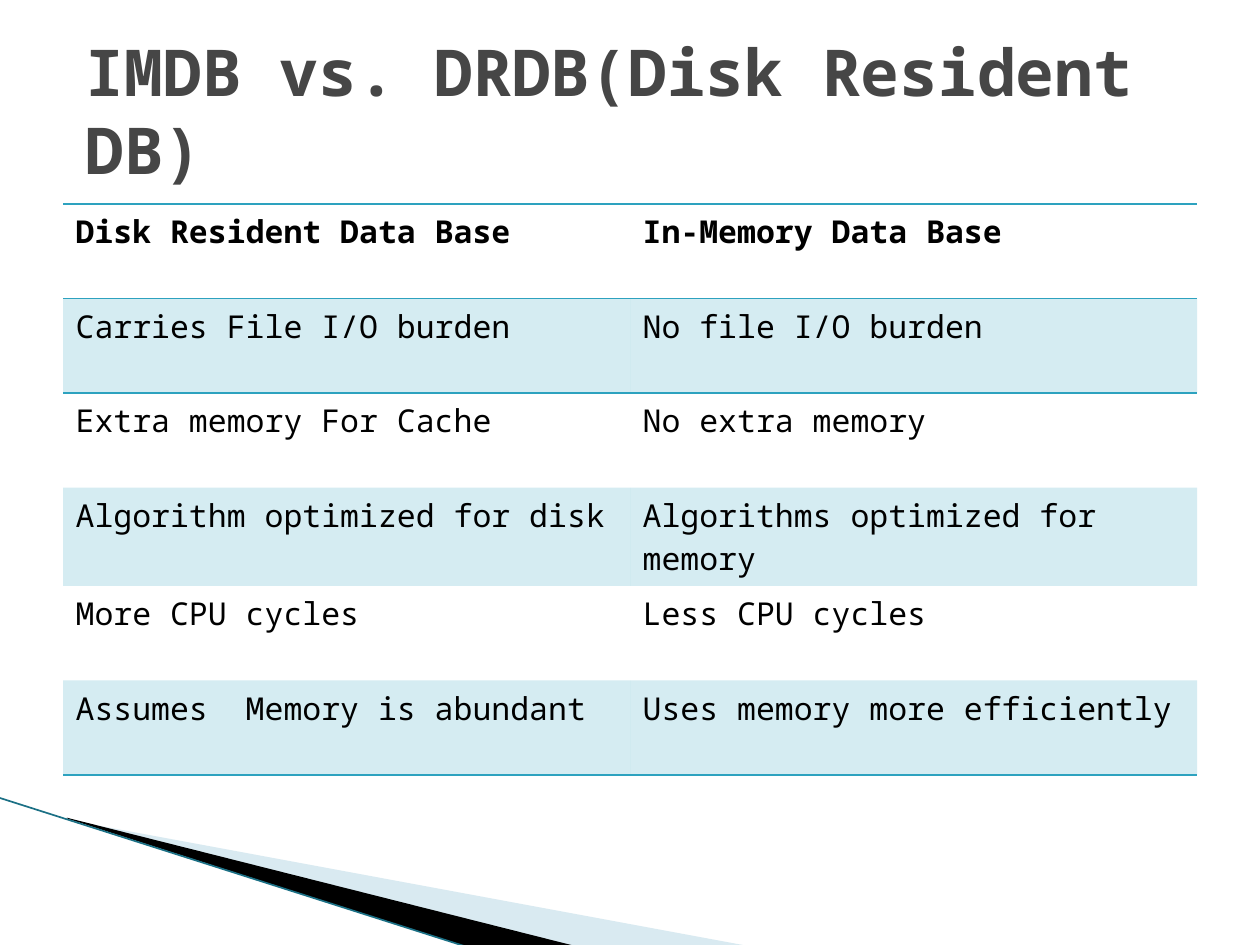
from lxml import etree
from pptx import Presentation, util as u
from pptx.dml.color import RGBColor
from pptx.enum import shapes, text
from pptx.oxml import ns

TITLE = "IMDB vs. DRDB(Disk Resident DB)"
ROWS = [
    ("Disk Resident Data Base", "In-Memory Data Base"),
    ("Carries File I/O burden", "No file I/O burden"),
    ("Extra memory For Cache", "No extra memory"),
    ("Algorithm optimized for disk", "Algorithms optimized for memory"),
    ("More CPU cycles", "Less CPU cycles"),
    ("Assumes  Memory is abundant", "Uses memory more efficiently"),
]
WEDGES = [  # points, colour, opacity in percent
    ([(39.6, 468.7), (428.4, 540.7), (328.3, 540.7), (39.6, 468)], "A0CBDC", 40),
    ([(38.2, 467.3), (329, 540.7), (267.8, 541.4), (38.9, 468)], "000000", 100),
]
EDGE = (-0.7, 455.8, 267.8, 541.4)
FONT, ACCENT, EDGE_COLOR = "Noto Sans Mono", "2DA2BF", "1B7085"
PLAIN_STYLE = "{2D5ABB26-0587-4C30-8999-92F81FD0307C}"


def rgb(code):
    """Return the colour for a hex string."""
    return RGBColor.from_string(code)


def paint(fill, code, opacity=100):
    """Fill with a solid colour of the given opacity."""
    fill.solid()
    fill.fore_color.rgb = rgb(code)
    if opacity < 100:
        for clr in fill._xPr.iter(ns.qn("a:srgbClr")):
            etree.SubElement(clr, ns.qn("a:alpha"), val=str(opacity * 1000))


def style(r, size, color, bold):
    """Format the font of one run."""
    for name, value in dict(name=FONT, size=u.Pt(size), bold=bold).items():
        setattr(r.font, name, value)
    r.font.color.rgb = rgb(color)


def border(cell, sides):
    """Draw accent lines of one point on the given sides, in schema order."""
    tcPr = cell._tc.get_or_add_tcPr()
    for i, side in enumerate(sides):
        ln = etree.Element(ns.qn("a:ln" + side), w=str(u.Pt(1)))
        solid = etree.SubElement(ln, ns.qn("a:solidFill"))
        etree.SubElement(solid, ns.qn("a:srgbClr"), val=ACCENT)
        tcPr.insert(i, ln)


def add_wedge(s, points, color, opacity):
    """Add one filled wedge of the corner decoration."""
    pts = [(u.Pt(x), u.Pt(y)) for x, y in points]
    fb = s.shapes.build_freeform(*pts[0])
    fb.add_line_segments(pts[1:], close=True)
    sp = fb.convert_to_shape()
    sp.shadow.inherit = False
    sp.line.fill.background()
    paint(sp.fill, color, opacity)


def add_edge(s):
    """Add the thin line along the corner decoration."""
    cx = s.shapes.add_connector(shapes.MSO_CONNECTOR.STRAIGHT, *map(u.Pt, EDGE))
    cx.line.width = u.Pt(0.95)
    cx.line.color.rgb = rgb(EDGE_COLOR)
    etree.SubElement(cx.element.spPr, ns.qn("a:effectLst"))


def add_comparison(s):
    """Add the comparison table with tinted odd rows."""
    box = map(u.Pt, (36, 116.6, 648, 324))
    tbl = s.shapes.add_table(len(ROWS), len(ROWS[0]), *box).table
    tbl.first_row = tbl.horz_banding = False
    tbl._tbl.tblPr.find(ns.qn("a:tableStyleId")).text = PLAIN_STYLE
    sides = {0: "TB", 1: "T", len(ROWS) - 1: "B"}
    for i, row in enumerate(ROWS):
        for j, words in enumerate(row):
            cell = tbl.cell(i, j)
            r = cell.text_frame.paragraphs[0].add_run()
            r.text = words
            style(r, 18, "000000", i == 0)
            if i % 2:
                paint(cell.fill, ACCENT, 20)
            else:
                cell.fill.background()
            border(cell, sides.get(i, ""))


def set_title(s):
    """Place and format the title, in front of the rest."""
    sp = s.shapes.title
    box = dict(left=41.8, top=23.8, width=624.2, height=77.8)
    for name, value in box.items():
        setattr(sp, name, u.Pt(value))
    tf = sp.text_frame
    frame = dict(word_wrap=True, auto_size=text.MSO_AUTO_SIZE.NONE,
                 vertical_anchor=text.MSO_ANCHOR.MIDDLE)
    for name, value in frame.items():
        setattr(tf, name, value)
    p = tf.paragraphs[0]
    p.alignment = text.PP_ALIGN.LEFT
    r = p.add_run()
    r.text = TITLE
    style(r, 36.9, "464646", True)
    sp.element.getparent().append(sp.element)


prs = Presentation()
prs.slide_width, prs.slide_height = u.Pt(720), u.Pt(540)
s = prs.slides.add_slide(prs.slide_layouts[5])
for wedge in WEDGES:
    add_wedge(s, *wedge)
add_edge(s)
add_comparison(s)
set_title(s)
prs.save("out.pptx")
